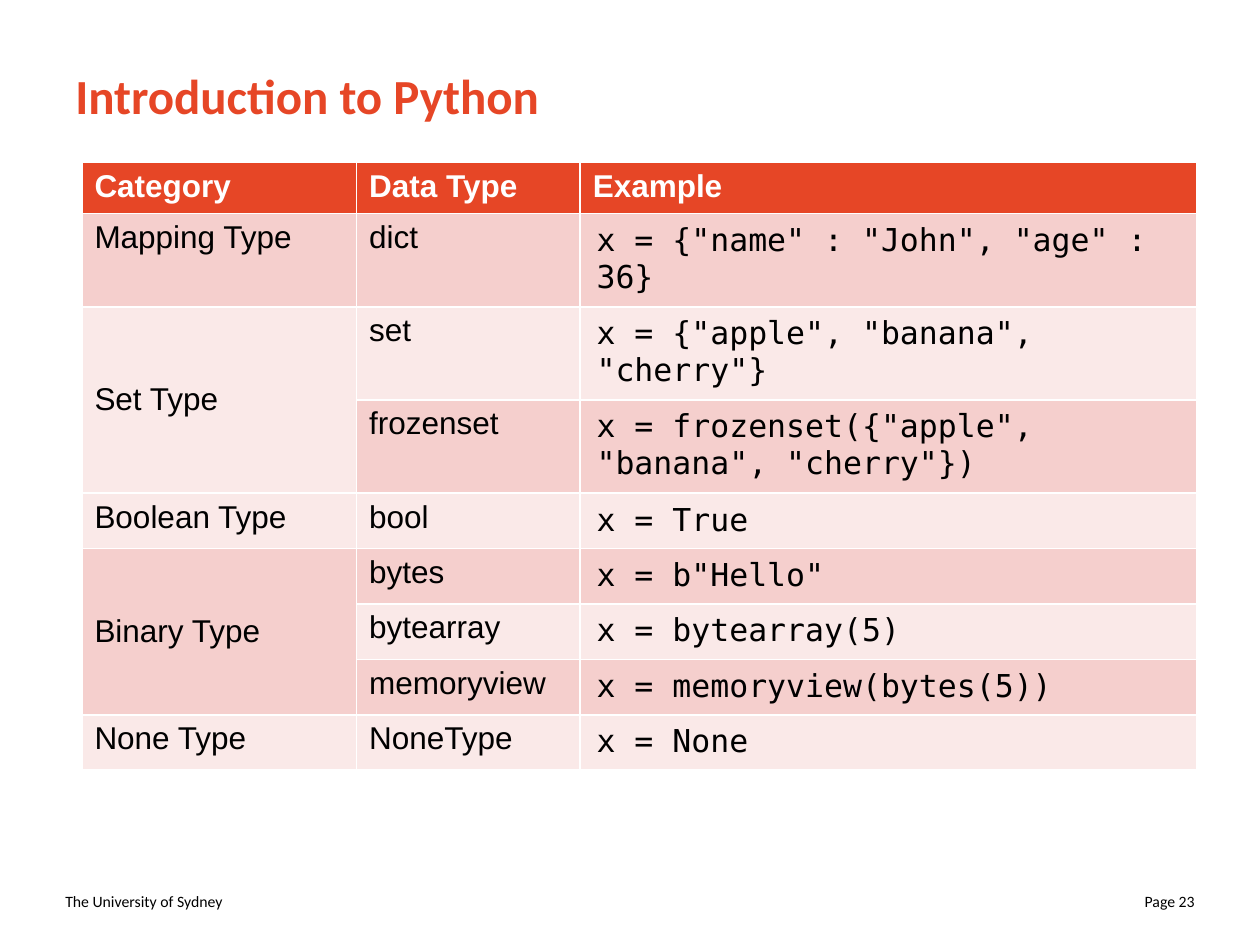
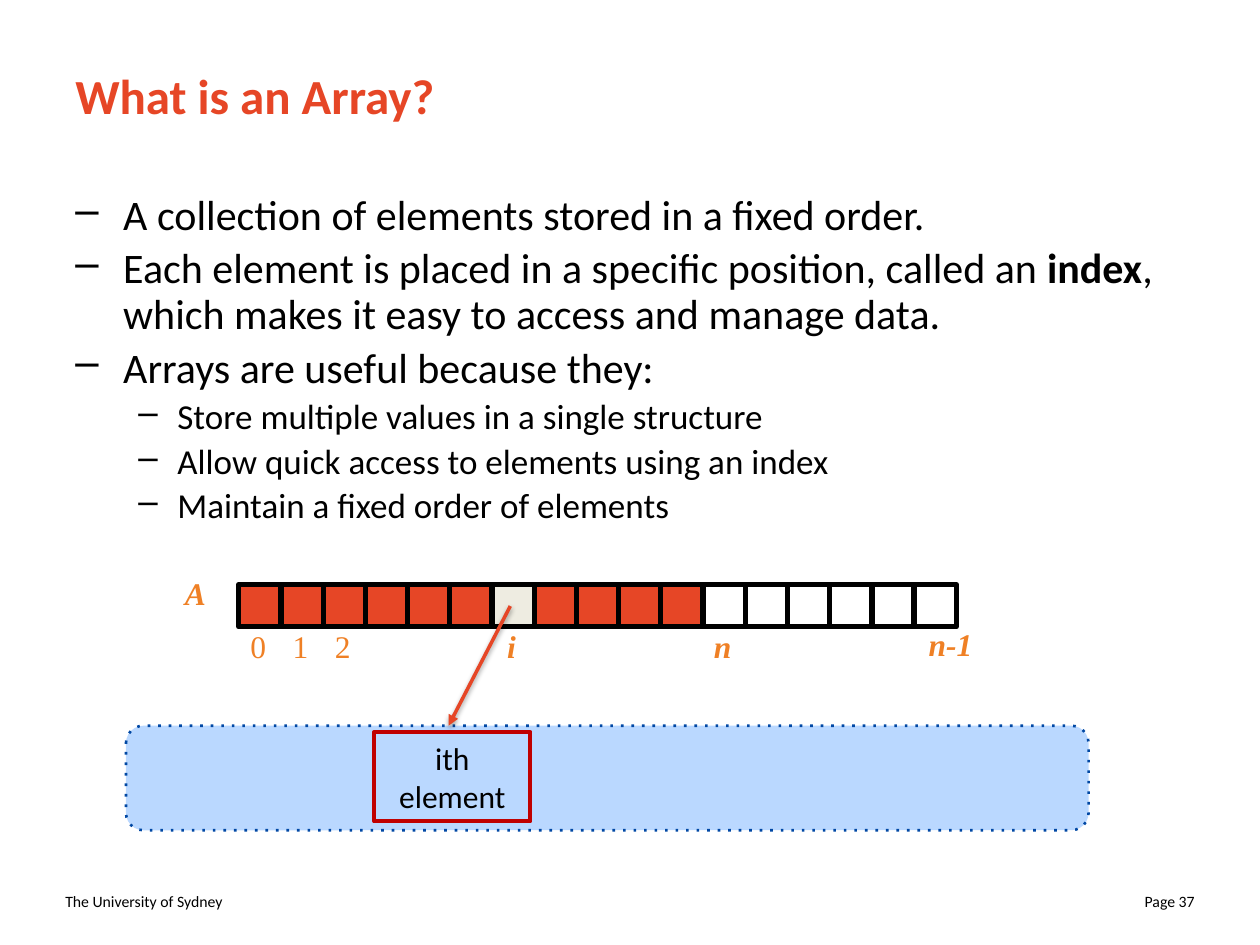
from lxml import etree
from pptx import Presentation
from pptx.dml.color import RGBColor
from pptx.enum.shapes import MSO_CONNECTOR, MSO_SHAPE
from pptx.enum.text import MSO_ANCHOR, PP_ALIGN
from pptx.oxml.ns import qn
from pptx.util import Inches, Pt

LEFT, CENTER, RIGHT = PP_ALIGN.LEFT, PP_ALIGN.CENTER, PP_ALIGN.RIGHT
TOP, MIDDLE = MSO_ANCHOR.TOP, MSO_ANCHOR.MIDDLE
RECTANGLE, ROUNDED = MSO_SHAPE.RECTANGLE, MSO_SHAPE.FLOWCHART_ALTERNATE_PROCESS
STRAIGHT = MSO_CONNECTOR.STRAIGHT

RED = RGBColor(0xE6, 0x46, 0x26)
DARK_BAND = RGBColor(0xF5, 0xCF, 0xCD)
LIGHT_BAND = RGBColor(0xFA, 0xE9, 0xE8)
ORANGE = RGBColor(0xEF, 0x80, 0x25)
IVORY = RGBColor(0xEE, 0xEC, 0xE1)
PALE_BLUE = RGBColor(0xBA, 0xD8, 0xFF)
NAVY = RGBColor(0x01, 0x48, 0xA4)
CRIMSON = RGBColor(0xC0, 0x00, 0x00)
BLACK = RGBColor(0, 0, 0)
WHITE = RGBColor(0xFF, 0xFF, 0xFF)

BODY_FONT, TABLE_FONT = "Calibri", "Arial"
CODE_FONT, MATH_FONT = "DejaVu Sans Mono", "Times New Roman"

# The slide is a grid of 20 columns by 15 rows of equal squares.
COLUMNS, ROWS = 20, 15
SLIDE_WIDTH, SLIDE_HEIGHT = Inches(10), Inches(7.5)

HEADINGS = ("Category", "Data Type", "Example")
DATA_TYPES = [
    ("Mapping Type", [("dict", 'x = {"name" : "John", "age" : 36}')]),
    ("Set Type", [
        ("set", 'x = {"apple", "banana", "cherry"}'),
        ("frozenset", 'x = frozenset({"apple", "banana", "cherry"})'),
    ]),
    ("Boolean Type", [("bool", "x = True")]),
    ("Binary Type", [
        ("bytes", 'x = b"Hello"'),
        ("bytearray", "x = bytearray(5)"),
        ("memoryview", "x = memoryview(bytes(5))"),
    ]),
    ("None Type", [("NoneType", "x = None")]),
]

# Each point is a level and its text pieces; every second piece is bold.
ARRAY_POINTS = [
    (0, ["A collection of elements stored in a fixed order."]),
    (0, ["Each element is placed in a specific position, called an ", "index",
         ", which makes it easy to access and manage data."]),
    (0, ["Arrays are useful because they:"]),
    (1, ["Store multiple values in a single structure"]),
    (1, ["Allow quick access to elements using an index"]),
    (1, ["Maintain a fixed order of elements"]),
]
POINT_LEVELS = [(24, 0.38, 0.38), (20, 0.81, 0.31)]  # size, margin, hanging

ARRAY_LENGTH, FILLED, MARKED = 17, 11, 6
CELL = 0.67
ARRAY_LEFT, ARRAY_TOP = 3.79, 9.28
INDEX_LABELS = [(0, "0", False), (1, "1", False), (2, "2", False),
                (MARKED, "i", True), (FILLED, "n", True)]


def across(columns):
    return round(SLIDE_WIDTH * columns / COLUMNS)


def down(rows):
    return round(SLIDE_HEIGHT * rows / ROWS)


def place(left, top, width, height):
    return across(left), down(top), across(width), down(height)


def style_run(run, size, font=BODY_FONT, color=BLACK, bold=False, italic=False):
    run.font.size = Pt(size)
    run.font.name = font
    run.font.color.rgb = color
    run.font.bold = bold
    run.font.italic = italic


def add_xml(parent, tag, **attributes):
    return etree.SubElement(parent, qn(tag), attributes)


class Deck:
    def __init__(self):
        self.presentation = Presentation()
        self.presentation.slide_width = SLIDE_WIDTH
        self.presentation.slide_height = SLIDE_HEIGHT
        self.slide = None

    def start(self, title, page):
        """Add a slide with its title and footer, and make it current."""
        blank = self.presentation.slide_layouts[6]
        self.slide = self.presentation.slides.add_slide(blank)
        self.text((0.84, 13.9, 4.66, 0.8), "The University of Sydney",
                  anchor=MIDDLE, size=9)
        self.text((14.5, 13.9, 4.66, 0.8), f"Page {page}",
                  align=RIGHT, anchor=MIDDLE, size=9)
        self.text((1, 0.26, 18, 2.5), title,
                  anchor=MIDDLE, size=28, color=RED, bold=True)

    def frame(self, box, anchor=TOP):
        frame = self.slide.shapes.add_textbox(*place(*box)).text_frame
        frame.word_wrap = True
        frame.vertical_anchor = anchor
        return frame

    def text(self, box, words, align=LEFT, anchor=TOP, **style):
        frame = self.frame(box, anchor)
        frame.text = words
        frame.paragraphs[0].alignment = align
        style_run(frame.paragraphs[0].runs[0], **style)
        return frame

    def math_label(self, box, words, variable=True):
        frame = self.text(box, words, align=CENTER, size=18, font=MATH_FONT,
                          color=ORANGE, bold=variable, italic=variable)
        frame.margin_left = frame.margin_right = 0
        frame.margin_top = frame.margin_bottom = 0

    def bullets(self, box, points):
        frame = self.frame(box)
        for number, (level, pieces) in enumerate(points):
            size, margin, hanging = POINT_LEVELS[level]
            paragraph = frame.add_paragraph() if number else frame.paragraphs[0]
            paragraph.level = level
            paragraph.line_spacing = 0.9
            paragraph.space_before = Pt(size * 0.2 if number else 0)
            properties = paragraph._p.get_or_add_pPr()
            properties.set("marL", str(Inches(margin)))
            properties.set("indent", str(-Inches(hanging)))
            add_xml(properties, "a:buChar", char="–")
            for piece_number, piece in enumerate(pieces):
                run = paragraph.add_run()
                run.text = piece
                style_run(run, size, bold=piece_number % 2 == 1)

    def shape(self, kind, box, fill, line, line_width):
        shape = self.slide.shapes.add_shape(kind, *place(*box))
        shape.shadow.inherit = False
        if fill is None:
            shape.fill.background()
        else:
            shape.fill.solid()
            shape.fill.fore_color.rgb = fill
        shape.line.color.rgb = line
        shape.line.width = Pt(line_width)
        return shape

    def arrow(self, start, end, color, width):
        """Draw an arrow with a soft shadow below it."""
        arrow = self.slide.shapes.add_connector(
            STRAIGHT, across(start[0]), down(start[1]), across(end[0]), down(end[1]))
        arrow.line.color.rgb = color
        arrow.line.width = Pt(width)
        properties = arrow._element.spPr
        add_xml(properties.find(qn("a:ln")), "a:tailEnd", type="triangle")
        shadow = add_xml(add_xml(properties, "a:effectLst"), "a:outerShdw",
                         blurRad=str(Pt(3.1)), dist=str(Pt(1.6)),
                         dir="5400000", rotWithShape="0")
        shade = add_xml(shadow, "a:srgbClr", val=str(BLACK))
        add_xml(shade, "a:alpha", val="38000")

    def table_cell(self, cell, words, fill, **style):
        cell.fill.solid()
        cell.fill.fore_color.rgb = fill
        if words:
            cell.text = words
            style_run(cell.text_frame.paragraphs[0].runs[0], 18, **style)

    def grouped_table(self, left, top, widths, row_height, headings, groups):
        """Draw a banded table whose first column spans each group's rows."""
        row_count = 1 + sum(len(entries) for _, entries in groups)
        table = self.slide.shapes.add_table(
            row_count, len(widths),
            *place(left, top, sum(widths), row_count * row_height)).table
        for column, width in zip(table.columns, widths):
            column.width = across(width)
        for cell, heading in zip(table.rows[0].cells, headings):
            self.table_cell(cell, heading, RED,
                            font=TABLE_FONT, color=WHITE, bold=True)
        row = 1
        for category, entries in groups:
            first = table.cell(row, 0)
            if len(entries) > 1:
                first.merge(table.cell(row + len(entries) - 1, 0))
                first.vertical_anchor = MIDDLE
            for number, (data_type, example) in enumerate(entries):
                band = DARK_BAND if row % 2 else LIGHT_BAND
                self.table_cell(table.cell(row, 0), "" if number else category,
                                band, font=TABLE_FONT)
                self.table_cell(table.cell(row, 1), data_type, band, font=TABLE_FONT)
                code = table.cell(row, 2)
                self.table_cell(code, example, band, font=CODE_FONT)
                code.margin_left = Inches(0.13)
                code.margin_top = code.margin_right = code.margin_bottom = Inches(0.07)
                row += 1


def data_type_slide(deck):
    deck.start("Introduction to Python", 23)
    deck.grouped_table(1.3, 2.58, (4.36, 3.55, 9.79), 0.81, HEADINGS, DATA_TYPES)


def array_slide(deck):
    deck.start("What is an Array?", 37)
    deck.bullets((1, 2.98, 18, 10.42), ARRAY_POINTS)

    deck.math_label((2.78, 9.12, 0.64, 0.8), "A")
    for index, words, variable in INDEX_LABELS:
        deck.math_label((ARRAY_LEFT + index * CELL, 9.96, 0.62, 0.8), words, variable)
    for index in range(ARRAY_LENGTH):
        fill = IVORY if index == MARKED else RED if index < FILLED else WHITE
        deck.shape(RECTANGLE, (ARRAY_LEFT + index * CELL, ARRAY_TOP, CELL, CELL),
                   fill, BLACK, 3)

    memory = deck.shape(ROUNDED, (2, 11.52, 15.28, 1.66), PALE_BLUE, NAVY, 1.5)
    add_xml(memory._element.spPr.find(qn("a:ln")), "a:prstDash", val="dot")
    element = deck.shape(RECTANGLE, (5.94, 11.62, 2.48, 1.42), None, CRIMSON, 2.25)
    element.text_frame.text = "ith element"
    element.text_frame.word_wrap = True
    element.text_frame.paragraphs[0].alignment = CENTER
    style_run(element.text_frame.paragraphs[0].runs[0], 18)

    deck.arrow((8.1, 9.62), (7.12, 11.52), RED, 2)
    deck.math_label((14.52, 9.92, 1.14, 0.6), "n-1")


def main():
    deck = Deck()
    data_type_slide(deck)
    array_slide(deck)
    deck.presentation.save("out.pptx")


if __name__ == "__main__":
    main()
